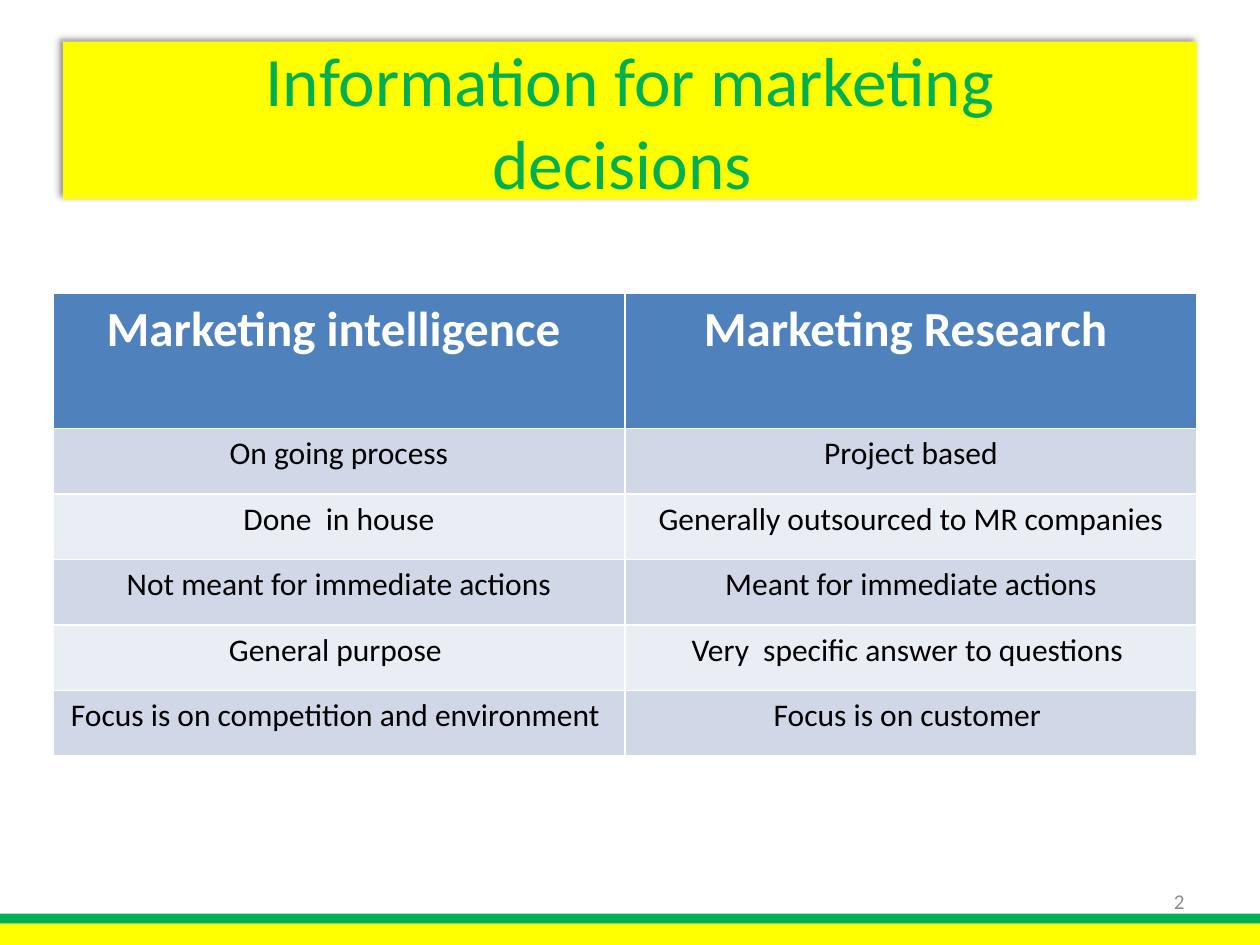
"""Build a slide comparing marketing intelligence with marketing research."""
import pptx
import pptx.dml.color
import pptx.enum.shapes
import pptx.enum.text
import pptx.oxml
import pptx.oxml.ns
import pptx.util

TITLE = "Information for marketing\vdecisions "
PAGE_NUMBER = "2"
ROWS = [
    ("Marketing intelligence ", "Marketing Research "),
    ("On going process", "Project based"),
    ("Done  in house", "Generally outsourced to MR companies"),
    ("Not meant for immediate actions", "Meant for immediate actions"),
    ("General purpose ", "Very  specific answer to questions "),
    ("Focus is on competition and environment ", "Focus is on customer "),
]
COLORS = {
    "green": "00B050", "yellow": "FFFF00", "header": "4F81BD",
    "odd": "D0D8E8", "even": "E9EDF4",
    "white": "FFFFFF", "black": "000000", "gray": "8C8C8C",
}
FONT = "Calibri"
WIDTH, HEIGHT = 10, 7.5
MARGIN = 0.5
STRIPES = [("green", 0.08), ("yellow", 0.17)]
TABLE_LEFT, TABLE_TOP, TABLE_WIDTH = 0.42, 2.33, 9.08
HEADER_HEIGHT, ROW_HEIGHT = 1.07, 0.52
SHADOW = (
    '<a:outerShdw xmlns:a="http://schemas.openxmlformats.org/drawingml/2006/main" '
    'blurRad="50800" dist="38100" dir="13500000" algn="br" rotWithShape="0">'
    '<a:srgbClr val="000000"><a:alpha val="40000"/></a:srgbClr></a:outerShdw>'
)
ALIGN = pptx.enum.text.PP_ALIGN
MIDDLE = pptx.enum.text.MSO_ANCHOR.MIDDLE


def color(name):
    return pptx.dml.color.RGBColor.from_string(COLORS[name])


def inches(*lengths):
    return [pptx.util.Inches(length) for length in lengths]


def fill(target, name):
    target.fill.solid()
    target.fill.fore_color.rgb = color(name)


def write(text_frame, text, size, name, align, bold=False):
    text_frame.text = text
    text_frame.word_wrap = True
    for paragraph in text_frame.paragraphs:
        paragraph.alignment = align
        for run in paragraph.runs:
            run.font.name = FONT
            run.font.size = pptx.util.Pt(size)
            run.font.bold = bold
            run.font.color.rgb = color(name)


def add_stripes(slide):
    top = HEIGHT - sum(height for _, height in STRIPES)
    for name, height in STRIPES:
        stripe = slide.shapes.add_shape(
            pptx.enum.shapes.MSO_SHAPE.RECTANGLE, *inches(0, top, WIDTH, height))
        fill(stripe, name)
        stripe.line.fill.background()
        stripe.shadow.inherit = False
        top += height


def format_title(slide):
    title = slide.shapes.title
    title.left, title.top, title.width, title.height = inches(
        MARGIN, 0.33, WIDTH - 2 * MARGIN, 1.25)
    fill(title, "yellow")
    title.shadow.inherit = False
    effects = title.element.spPr.find(pptx.oxml.ns.qn("a:effectLst"))
    effects.append(pptx.oxml.parse_xml(SHADOW))
    write(title.text_frame, TITLE, 39.6, "green", ALIGN.CENTER)
    title.text_frame.auto_size = pptx.enum.text.MSO_AUTO_SIZE.NONE
    title.text_frame.vertical_anchor = MIDDLE


def add_comparison(slide):
    heights = [HEADER_HEIGHT] + [ROW_HEIGHT] * (len(ROWS) - 1)
    table = slide.shapes.add_table(
        len(ROWS), len(ROWS[0]),
        *inches(TABLE_LEFT, TABLE_TOP, TABLE_WIDTH, sum(heights))).table
    for row_index, (texts, height) in enumerate(zip(ROWS, heights)):
        table.rows[row_index].height = pptx.util.Inches(height)
        header = row_index == 0
        background = "header" if header else "odd" if row_index % 2 else "even"
        for column_index, text in enumerate(texts):
            cell = table.cell(row_index, column_index)
            fill(cell, background)
            write(cell.text_frame, text, 28 if header else 18,
                  "white" if header else "black", ALIGN.CENTER, header)


def add_page_number(slide):
    width = 2.33
    box = slide.shapes.add_textbox(
        *inches(WIDTH - MARGIN - width, 6.95, width, 0.4))
    write(box.text_frame, PAGE_NUMBER, 12, "gray", ALIGN.RIGHT)
    box.text_frame.vertical_anchor = MIDDLE


def main():
    presentation = pptx.Presentation()
    presentation.slide_width, presentation.slide_height = inches(WIDTH, HEIGHT)
    slide = presentation.slides.add_slide(
        presentation.slide_layouts.get_by_name("Title Only"))
    add_stripes(slide)
    format_title(slide)
    add_comparison(slide)
    add_page_number(slide)
    presentation.save("out.pptx")


if __name__ == "__main__":
    main()
